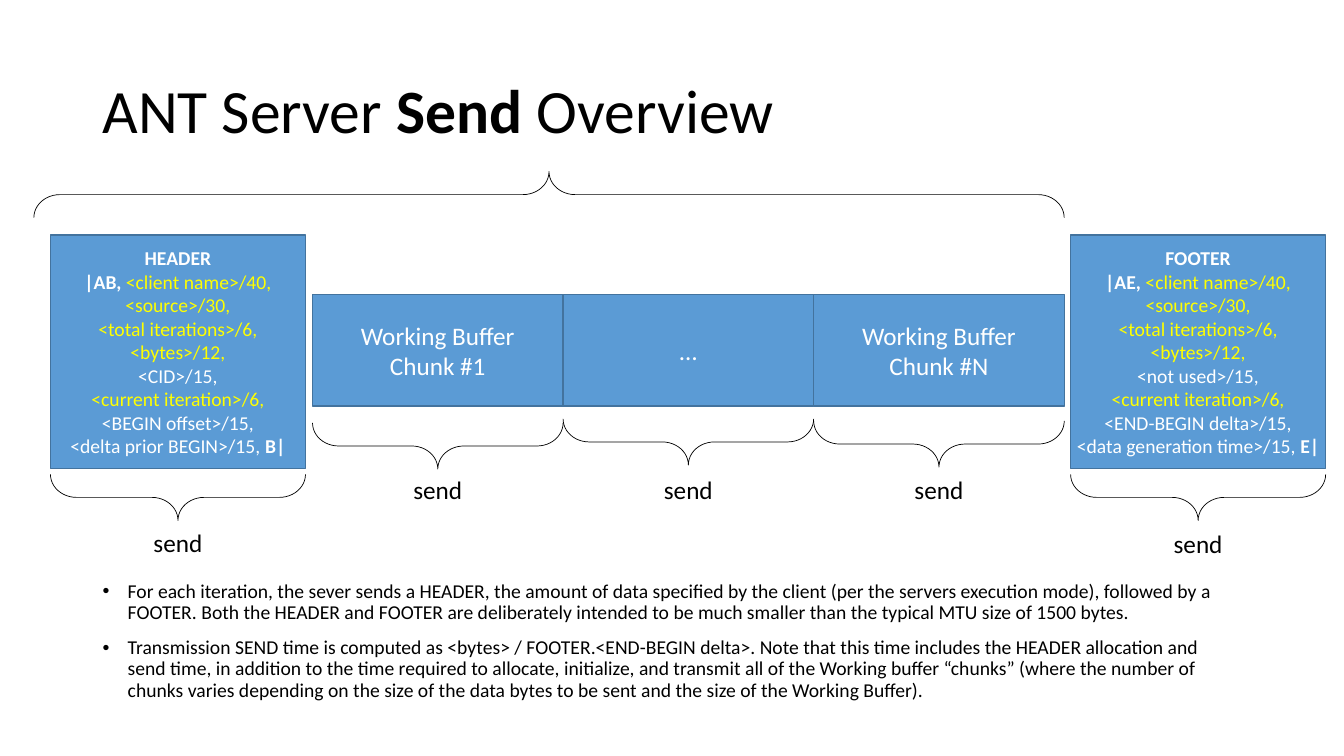
"""Build the slide that explains how the ANT server sends one iteration."""
from lxml.etree import SubElement
from pptx import Presentation
from pptx.dml.color import RGBColor
from pptx.enum.shapes import MSO_SHAPE
from pptx.enum.text import MSO_ANCHOR, MSO_AUTO_SIZE, PP_ALIGN
from pptx.oxml.ns import qn
from pptx.util import Pt

BLACK = RGBColor(0x00, 0x00, 0x00)
WHITE = RGBColor(0xFF, 0xFF, 0xFF)
YELLOW = RGBColor(0xFF, 0xFF, 0x00)
BLUE = RGBColor(0x5B, 0x9B, 0xD5)
DARK_BLUE = RGBColor(0x43, 0x73, 0x9E)

MESSAGE_TOP, MESSAGE_WIDTH, MESSAGE_HEIGHT = 167.8, 182.2, 167
HEADER_LEFT, FOOTER_LEFT = 36, 764.7
CHUNK_LEFT, CHUNK_TOP, CHUNK_WIDTH, CHUNK_HEIGHT = 223.2, 210.2, 179, 80
LABEL_WIDTH, LABEL_HEIGHT = 80, 29
BRACE_DEPTH = 33

NOTES = [
    "For each iteration, the sever sends a HEADER, the amount of data specified by the client "
    "(per the servers execution mode), followed by a FOOTER. Both the HEADER and FOOTER are "
    "deliberately intended to be much smaller than the typical MTU size of 1500 bytes.",
    "Transmission SEND time is computed as <bytes> / FOOTER.<END-BEGIN delta>. Note that this "
    "time includes the HEADER allocation and send time, in addition to the time required to "
    "allocate, initialize, and transmit all of the Working buffer “chunks” (where the number of "
    "chunks varies depending on the size of the data bytes to be sent and the size of the "
    "Working Buffer).",
]


def add_text(paragraph, text, size=18, color=BLACK, bold=False):
    """Append a formatted run to a paragraph."""
    run = paragraph.add_run()
    run.text = text
    run.font.name = "Calibri"
    run.font.size = Pt(size)
    run.font.bold = bold
    run.font.color.rgb = color


def message_lines(title, opening, identifier, delta, timing, closing):
    """List the lines of a message as (text, color, bold) runs."""
    return [
        [(title, WHITE, True)],
        [(opening, WHITE, True), ("<client name>/40,", YELLOW, False)],
        [("<source>/30,", YELLOW, False)],
        [("<total iterations>/6,", YELLOW, False)],
        [("<bytes>/12,", YELLOW, False)],
        [(identifier, WHITE, False)],
        [("<current iteration>/6,", YELLOW, False)],
        [(delta, WHITE, False)],
        [(timing, WHITE, False), (closing, WHITE, True)],
    ]


class SlideBuilder:
    """Hold the current slide and draw its elements in one style."""

    def __init__(self, slide):
        """Keep the slide to draw on."""
        self.slide = slide

    def text_box(self, left, top, width, height):
        """Add an empty wrapping text box and return its frame."""
        shape = self.slide.shapes.add_textbox(Pt(left), Pt(top), Pt(width), Pt(height))
        shape.text_frame.word_wrap = True
        return shape.text_frame

    def title(self, runs):
        """Add the slide title from (text, bold) runs."""
        frame = self.text_box(66.2, 28.8, 828, 104.4)
        frame.vertical_anchor = MSO_ANCHOR.MIDDLE
        paragraph = frame.paragraphs[0]
        paragraph.line_spacing = 0.9
        for text, bold in runs:
            add_text(paragraph, text, size=44, bold=bold)

    def block(self, left, top, width, height, lines, size, inset=None):
        """Add a blue rectangle with centred lines of runs."""
        shape = self.slide.shapes.add_shape(
            MSO_SHAPE.RECTANGLE, Pt(left), Pt(top), Pt(width), Pt(height))
        shape.shadow.inherit = False
        shape.fill.solid()
        shape.fill.fore_color.rgb = BLUE
        shape.line.color.rgb = DARK_BLUE
        shape.line.width = Pt(1)
        frame = shape.text_frame
        frame.word_wrap = True
        frame.vertical_anchor = MSO_ANCHOR.MIDDLE
        if inset is not None:
            frame.margin_left = frame.margin_right = Pt(inset)
            frame.margin_top = frame.margin_bottom = Pt(inset)
        for index, runs in enumerate(lines):
            paragraph = frame.add_paragraph() if index else frame.paragraphs[0]
            paragraph.alignment = PP_ALIGN.CENTER
            for text, color, bold in runs:
                add_text(paragraph, text, size=size, color=color, bold=bold)

    def brace(self, center_x, center_y, span, rotation=90):
        """Add a horizontal brace around a centre point."""
        shape = self.slide.shapes.add_shape(
            MSO_SHAPE.RIGHT_BRACE, Pt(center_x - BRACE_DEPTH / 2), Pt(center_y - span / 2),
            Pt(BRACE_DEPTH), Pt(span))
        shape.rotation = rotation
        shape.adjustments[0] = 0.564
        shape.adjustments[1] = 0.5
        shape.shadow.inherit = False
        shape.fill.background()
        shape.line.color.rgb = BLACK
        shape.line.width = Pt(0.5)

    def label(self, center_x, top, text):
        """Add a centred label that fits its text."""
        frame = self.text_box(center_x - LABEL_WIDTH / 2, top, LABEL_WIDTH, LABEL_HEIGHT)
        frame.auto_size = MSO_AUTO_SIZE.SHAPE_TO_FIT_TEXT
        paragraph = frame.paragraphs[0]
        paragraph.alignment = PP_ALIGN.CENTER
        add_text(paragraph, text)

    def bullets(self, texts):
        """Add the bulleted notes at the foot of the slide."""
        frame = self.text_box(66.2, 411.8, 828, 100.8)
        for index, text in enumerate(texts):
            paragraph = frame.add_paragraph() if index else frame.paragraphs[0]
            properties = paragraph._p.get_or_add_pPr()
            properties.set("marL", str(Pt(18)))
            properties.set("indent", str(Pt(-18)))
            SubElement(properties, qn("a:buFont"), typeface="Arial")
            SubElement(properties, qn("a:buChar"), char="•")
            paragraph.line_spacing = 0.9
            paragraph.space_before = Pt(10 if index else 0)
            add_text(paragraph, text, size=14)


def main():
    """Draw the slide and save the presentation."""
    presentation = Presentation()
    presentation.slide_width = Pt(960)
    presentation.slide_height = Pt(540)
    builder = SlideBuilder(presentation.slides.add_slide(presentation.slide_layouts[6]))

    builder.title([("ANT Server ", False), ("Send", True), (" Overview", False)])

    header = message_lines("HEADER", "|AB, ", "<CID>/15,", "<BEGIN offset>/15,",
                           "<delta prior BEGIN>/15, ", "B|")
    footer = message_lines("FOOTER", "|AE, ", "<not used>/15,", "<END-BEGIN delta>/15,",
                           "<data generation time>/15, ", "E|")
    for left, lines in ((HEADER_LEFT, header), (FOOTER_LEFT, footer)):
        builder.block(left, MESSAGE_TOP, MESSAGE_WIDTH, MESSAGE_HEIGHT, lines, 14, inset=1.44)

    chunks = [["Working Buffer", "Chunk #1"], ["…"], ["Working Buffer", "Chunk #N"]]
    for index, texts in enumerate(chunks):
        builder.block(CHUNK_LEFT + index * CHUNK_WIDTH, CHUNK_TOP, CHUNK_WIDTH, CHUNK_HEIGHT,
                      [[(text, WHITE, False)] for text in texts], 18)

    sends = [
        (HEADER_LEFT, MESSAGE_WIDTH, 355.3, 373),
        (CHUNK_LEFT, CHUNK_WIDTH, 318.6, 335.5),
        (CHUNK_LEFT + CHUNK_WIDTH, CHUNK_WIDTH, 315.7, 335.5),
        (CHUNK_LEFT + 2 * CHUNK_WIDTH, CHUNK_WIDTH, 317.2, 335.5),
        (FOOTER_LEFT, MESSAGE_WIDTH, 355.3, 373.7),
    ]
    for left, span, brace_y, label_top in sends:
        center_x = left + span / 2
        builder.brace(center_x, brace_y, span)
        builder.label(center_x, label_top, "send")
    builder.brace(392.2, 139, 736, rotation=270)

    builder.bullets(NOTES)
    presentation.save("out.pptx")


if __name__ == "__main__":
    main()
